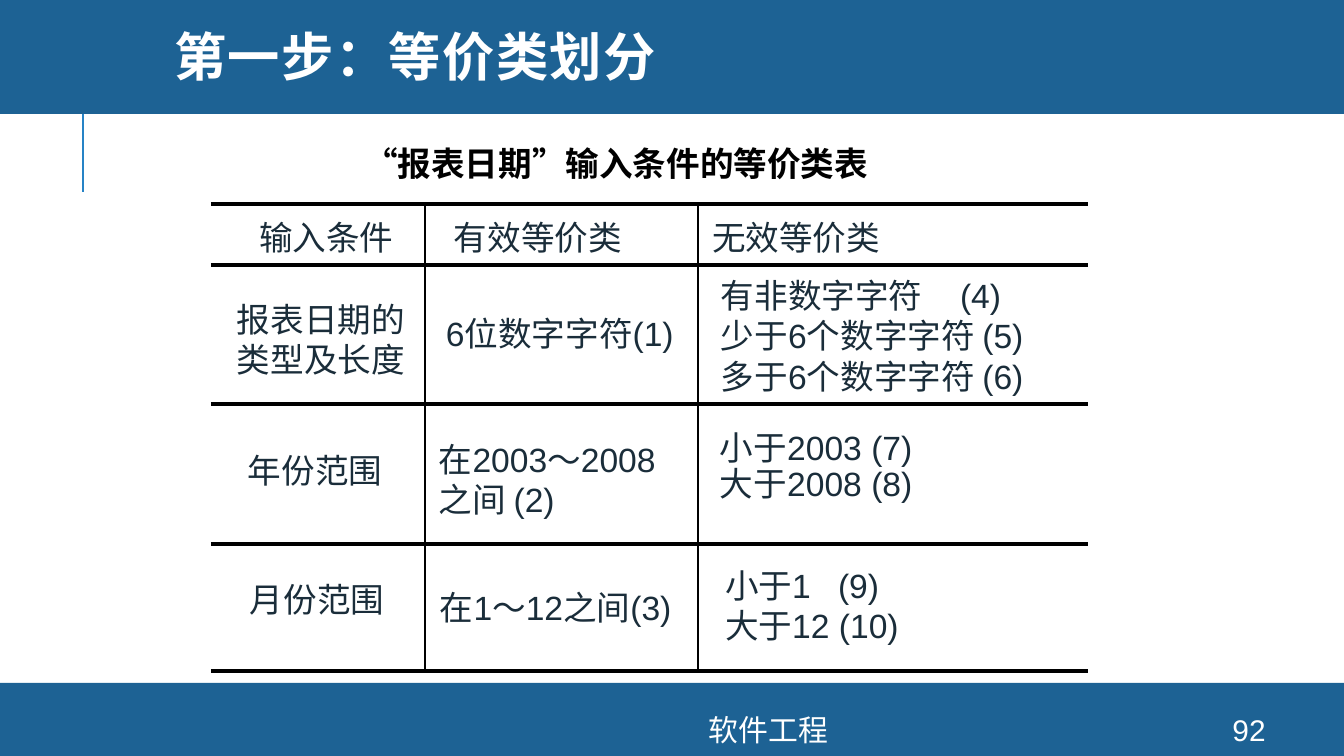
from lxml import etree
from pptx import Presentation
from pptx.dml.color import RGBColor
from pptx.enum.shapes import MSO_CONNECTOR, MSO_SHAPE
from pptx.enum.text import MSO_ANCHOR, MSO_AUTO_SIZE, PP_ALIGN
from pptx.oxml.ns import qn
from pptx.util import Pt

STRAIGHT = MSO_CONNECTOR.STRAIGHT
RECT = MSO_SHAPE.RECTANGLE
LEFT, CENTER = PP_ALIGN.LEFT, PP_ALIGN.CENTER
TOP, MIDDLE = MSO_ANCHOR.TOP, MSO_ANCHOR.MIDDLE
GROW = MSO_AUTO_SIZE.SHAPE_TO_FIT_TEXT

BLUE = RGBColor(0x1D, 0x62, 0x94)
ACCENT = RGBColor(0x26, 0x83, 0xC6)
INK = RGBColor(0x1A, 0x2D, 0x3A)
BLACK = RGBColor(0, 0, 0)
WHITE = RGBColor(0xFF, 0xFF, 0xFF)

SLIDE_W, SLIDE_H = 1344, 756
EMU_PER_PX = 914400 / 134.4

# Table grid, relative to the table's own box
COLUMN_RULES = [214, 487]
ROW_RULES = [0, 61, 200, 340, 467]

# Box, lines, wrap, line spacing, tab stops
CELLS = [
    ((39, 8, 767, 51), ["输入条件\t有效等价类\t无效等价类"], True, 1, [195, 453]),
    ((17, 90, 190, 91), ["报表日期的", "类型及长度"], False, 1, []),
    ((226, 104, 312, 51), ["6位数字字符(1)"], True, 1, []),
    ((501, 66, 384, 132),
     ["有非数字字符\t(4)", "少于6个数字字符 (5)", "多于6个数字字符 (6)"], True, 1, [239]),
    ((28, 241, 156, 51), ["年份范围"], False, 1, []),
    ((219, 230, 274, 91), ["在2003～2008", "之间 (2)"], True, 1, []),
    ((500, 222, 353, 83), ["小于2003 (7)", "大于2008 (8)"], True, 0.9, []),
    ((30, 370, 156, 51), ["月份范围"], False, 1, []),
    ((220, 378, 274, 51), ["在1～12之间(3)"], True, 1, []),
    ((505, 356, 288, 91), ["小于1\t(9)", "大于12 (10)"], True, 1, [113]),
]


def px(n):
    return round(n * EMU_PER_PX)


def add_bar(shapes, box):
    sp = shapes.add_shape(RECT, *map(px, box))
    sp.shadow.inherit = False
    sp.fill.solid()
    sp.fill.fore_color.rgb = BLUE
    sp.line.fill.background()


def add_line(shapes, x1, y1, x2, y2, color, width):
    line = shapes.add_connector(STRAIGHT, px(x1), px(y1), px(x2), px(y2))
    line.line.color.rgb = color
    line.line.width = Pt(width)
    etree.SubElement(line._element.spPr, qn("a:effectLst"))


def add_tabs(p, stops):
    tabs = etree.SubElement(p._p.get_or_add_pPr(), qn("a:tabLst"))
    for stop in stops:
        etree.SubElement(tabs, qn("a:tab"), pos=str(px(stop)), algn="l")


def add_text(shapes, box, lines, size, color, bold=False, font="Arial", align=LEFT,
             anchor=TOP, wrap=True, grow=False, spacing=1, tabs=()):
    sp = shapes.add_textbox(*map(px, box))
    tf = sp.text_frame
    tf.text = "\n".join(lines)
    tf.word_wrap = wrap
    tf.vertical_anchor = anchor
    if grow:
        tf.auto_size = GROW
    for p in tf.paragraphs:
        if tabs:
            add_tabs(p, tabs)
        p.alignment = align
        p.line_spacing = float(spacing)
        for r in p.runs:
            r.font.size = Pt(size)
            r.font.name = font
            r.font.bold = bold
            r.font.color.rgb = color
    return tf


def add_header(shapes, x, y, w, h):
    add_line(shapes, x + 83, y + 91, x + 83, y + 192, ACCENT, 1.5)
    add_bar(shapes, (x, y, w, h))
    tf = add_text(shapes, (x + 161, y, w - 203, h + 8), ["第一步：等价类划分"], 28, WHITE,
                  bold=True, font="Montserrat", anchor=MIDDLE, spacing=0.8)
    tf.paragraphs[0].runs[0].font._element.set("spc", "80")


def add_footer(shapes, x, y, w, h):
    add_bar(shapes, (x, y, w, h))
    for left, width, label in [(351, 835, "软件工程"), (1195, 108, "92")]:
        add_text(shapes, (x + left, y + 31, width, 31), [label], 16, WHITE,
                 align=CENTER, anchor=MIDDLE)


def add_class_table(shapes, x, y, w, h):
    group = shapes.add_group_shape().shapes
    # Rules
    for row in ROW_RULES:
        add_line(group, x, y + row, x + w, y + row, BLACK, 2)
    for col in COLUMN_RULES:
        add_line(group, x + col, y, x + col, y + h, BLACK, 1)
    # Cell texts
    for (left, top, width, height), lines, wrap, spacing, tabs in CELLS:
        tf = add_text(group, (x + left, y + top, width, height), lines, 18, INK,
                      wrap=wrap, grow=True, spacing=spacing, tabs=tabs)
        tf.margin_left = tf.margin_right = px(9)
        tf.margin_top = tf.margin_bottom = px(5)


def main():
    prs = Presentation()
    prs.slide_width, prs.slide_height = px(SLIDE_W), px(SLIDE_H)
    shapes = prs.slides.add_slide(prs.slide_layouts[6]).shapes

    add_header(shapes, 0, 0, SLIDE_W, 114)
    add_footer(shapes, 0, 683, SLIDE_W, 73)
    # Table caption
    add_text(shapes, (351, 136, 539, 54), ["“报表日期”输入条件的等价类表"], 18, BLACK,
             bold=True, wrap=False, grow=True)
    add_class_table(shapes, 211, 204, 877, 467)

    prs.save("out.pptx")


if __name__ == "__main__":
    main()
